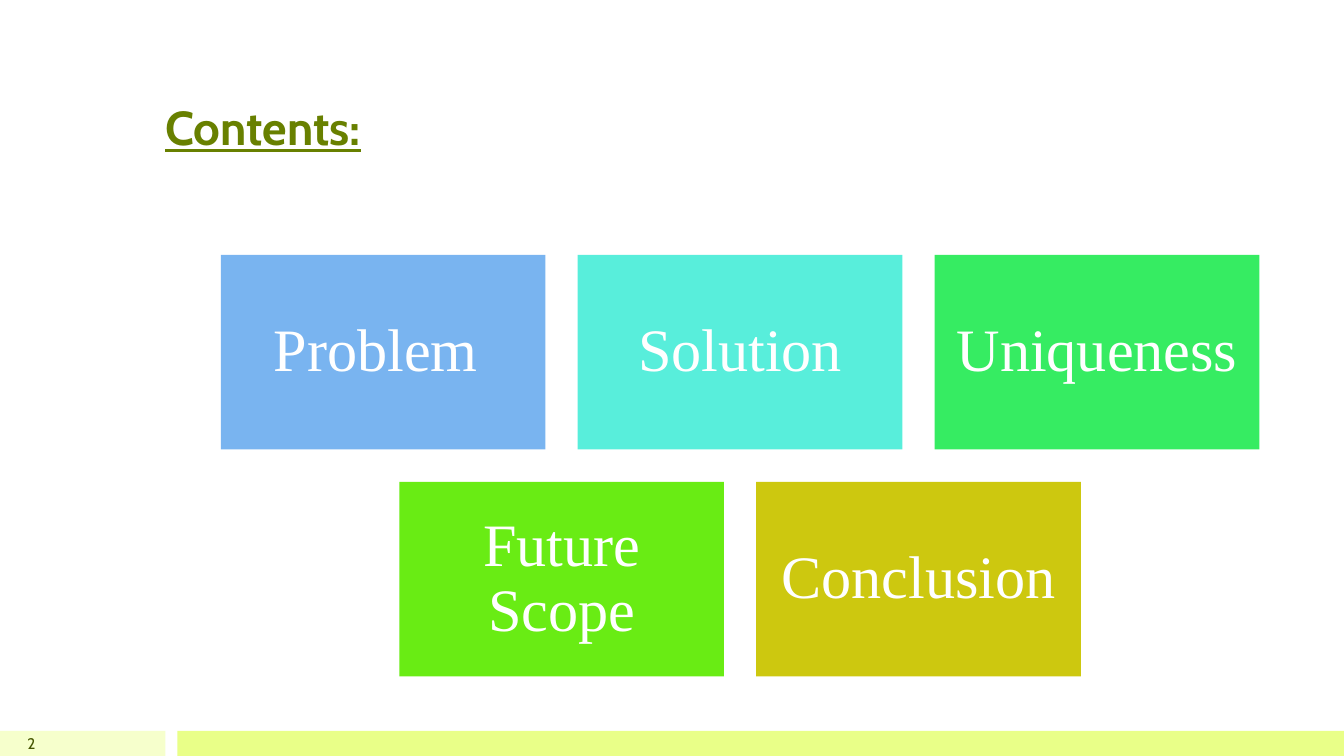
import pptx
import pptx.dml.color
import pptx.enum.shapes
import pptx.enum.text
import pptx.util

Inches = pptx.util.Inches
Align = pptx.enum.text.PP_ALIGN
Anchor = pptx.enum.text.MSO_ANCHOR

COLORS = {
    "title": "688000",
    "number": "455500",
    "footer_light": "F6FFCC",
    "footer": "E9FF88",
    "white": "FFFFFF",
    "blue": "79B4F0",
    "aqua": "58EEDB",
    "green": "36EC62",
    "lime": "69EC14",
    "mustard": "CDC80F",
}


class SlideBuilder:
    heading_font = "Cabin"
    card_font = "Times New Roman"

    def __init__(self, slide):
        self.slide = slide

    def color(self, name):
        return pptx.dml.color.RGBColor.from_string(COLORS[name])

    def rectangle(self, left, top, width, height, fill):
        shape = self.slide.shapes.add_shape(
            pptx.enum.shapes.MSO_SHAPE.RECTANGLE,
            Inches(left), Inches(top), Inches(width), Inches(height))
        shape.shadow.inherit = False
        shape.fill.solid()
        shape.fill.fore_color.rgb = self.color(fill)
        shape.line.fill.background()
        return shape

    def add_text(self, shape, text, size, font, color, align, anchor):
        frame = shape.text_frame
        frame.word_wrap = True
        frame.vertical_anchor = anchor
        paragraph = frame.paragraphs[0]
        paragraph.alignment = align
        run = paragraph.add_run()
        run.text = text
        run.font.size = pptx.util.Pt(size)
        run.font.name = font
        run.font.color.rgb = self.color(color)
        return paragraph

    def label(self, left, top, width, height, text, size, color, align, anchor):
        box = self.slide.shapes.add_textbox(
            Inches(left), Inches(top), Inches(width), Inches(height))
        return self.add_text(box, text, size, self.heading_font, color, align, anchor)

    def card(self, left, top, width, height, text, fill):
        shape = self.rectangle(left, top, width, height, fill)
        frame = shape.text_frame
        frame.margin_left = frame.margin_right = Inches(0.18)
        frame.margin_top = frame.margin_bottom = Inches(0.18)
        paragraph = self.add_text(shape, text, 43, self.card_font, "white",
                                  Align.CENTER, Anchor.MIDDLE)
        paragraph.line_spacing = 0.9


def main():
    presentation = pptx.Presentation()
    presentation.slide_width = Inches(13.33)
    presentation.slide_height = Inches(7.5)
    builder = SlideBuilder(presentation.slides.add_slide(presentation.slide_layouts[6]))

    # Footer bars and slide number
    builder.rectangle(0, 7.25, 1.64, 0.25, "footer_light")
    builder.rectangle(1.76, 7.25, 11.57, 0.25, "footer")
    builder.label(0, 7.25, 0.45, 0.25, "2", 11, "number", Align.RIGHT, Anchor.MIDDLE)

    # Title
    title = builder.label(1.54, 0.3, 10.25, 1.29, "Contents:", 34, "title",
                          Align.LEFT, Anchor.BOTTOM)
    title.runs[0].font.bold = True
    title.runs[0].font.underline = True

    # Content cards, each row centred on the same axis
    card_width, card_height, gap = 3.22, 1.93, 0.32
    center, first_top = 7.34, 2.53
    rows = [
        [("Problem ", "blue"), ("Solution", "aqua"), ("Uniqueness", "green")],
        [("Future Scope", "lime"), ("Conclusion", "mustard")],
    ]
    for row_index, row in enumerate(rows):
        row_width = len(row) * (card_width + gap) - gap
        top = first_top + row_index * (card_height + gap)
        for column, (text, fill) in enumerate(row):
            left = center - row_width / 2 + column * (card_width + gap)
            builder.card(left, top, card_width, card_height, text, fill)

    presentation.save("out.pptx")


if __name__ == "__main__":
    main()
